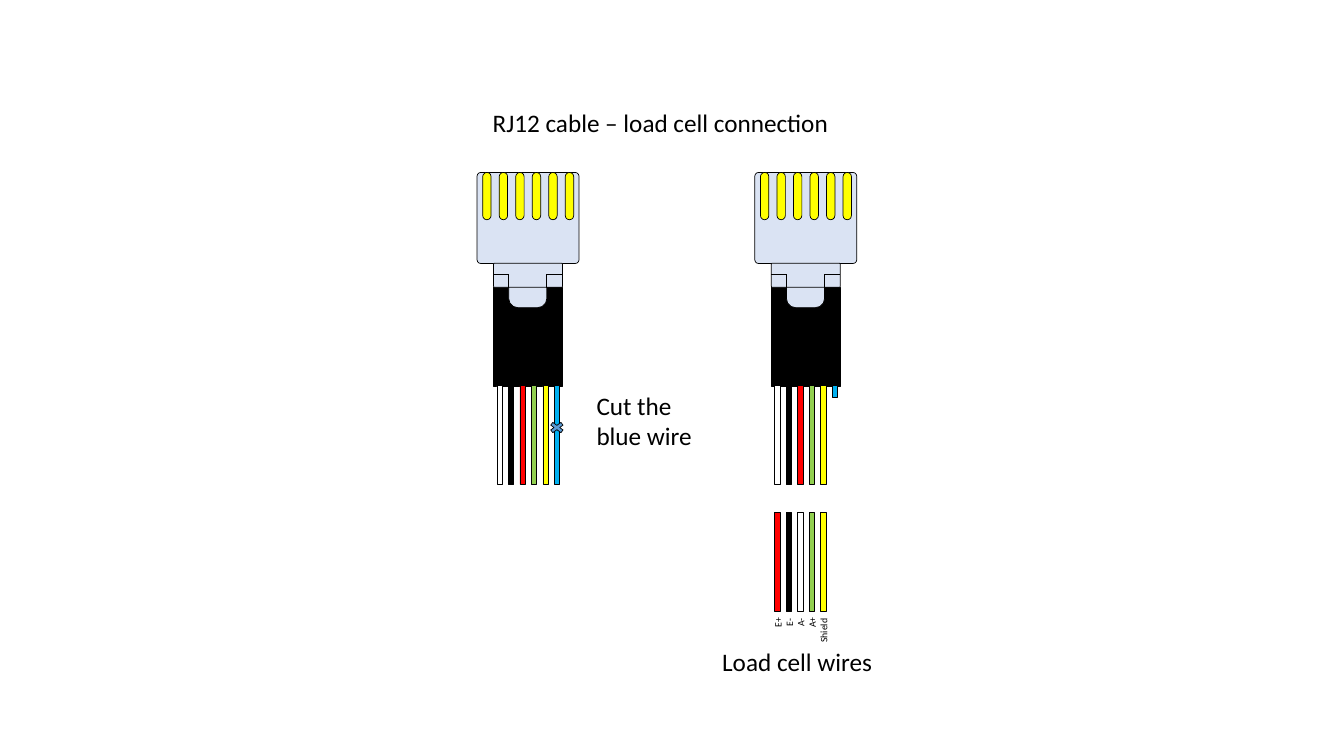
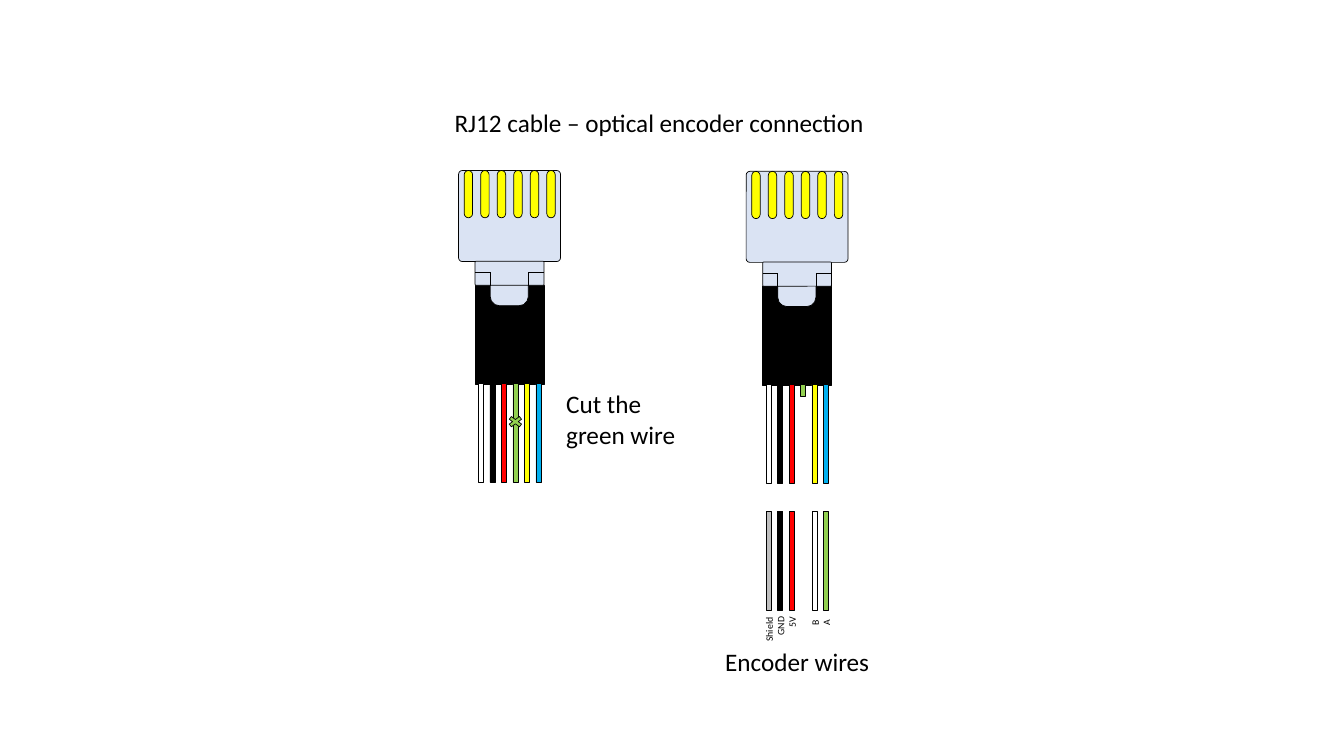
"""Draw the RJ12 wiring diagrams for a load cell and an optical encoder."""
from dataclasses import dataclass

from lxml.etree import SubElement
from pptx import Presentation
from pptx.dml.color import RGBColor
from pptx.enum.shapes import MSO_CONNECTOR, MSO_SHAPE
from pptx.enum.text import MSO_AUTO_SIZE, PP_ALIGN
from pptx.oxml.ns import qn
from pptx.presentation import Presentation as PresentationType
from pptx.shapes.autoshape import Shape
from pptx.slide import Slide
from pptx.util import Emu, Pt

EMU_PER_PX = 2540
SLIDE_WIDTH, SLIDE_HEIGHT = 4800, 2700
FONT = "Calibri"

BLACK, WHITE, RED, GREEN = "000000", "FFFFFF", "FF0000", "92D050"
YELLOW, BLUE, GRAY = "FFFF00", "00B0F0", "BFBFBF"
PLASTIC, STEEL_BLUE = "DAE3F3", "5B9BD5"
CABLE_COLORS = (WHITE, BLACK, RED, GREEN, YELLOW, BLUE)

PIN_COUNT, PIN_PITCH = 6, 59
WIRE_LEFT, WIRE_PITCH, WIRE_WIDTH, WIRE_LENGTH = 71, 41, 19, 353
CABLE_WIRES_TOP, DEVICE_WIRES_TOP, LABELS_TOP = 761, 1214, 1546
STUB_LENGTH = 41
LABEL_HEIGHT = 79
CROSS_WIDTH, CROSS_HEIGHT = 70, 52


@dataclass(frozen=True)
class Box:
    """A rectangle in px."""

    left: int
    top: int
    width: int
    height: int


@dataclass(frozen=True)
class Part:
    """A rounded piece of the plug, placed from the plug's corner."""

    box: Box
    color: str
    rounding: float


@dataclass(frozen=True)
class Point:
    """A position in px."""

    x: int
    y: int


@dataclass(frozen=True)
class DeviceWire:
    """A labelled wire of the device, facing one slot of the cable."""

    slot: int
    color: str
    label: str
    label_length: int


@dataclass(frozen=True)
class Diagram:
    """The contents of one slide."""

    title: str
    title_box: Box
    note: str
    note_box: Box
    caption: str
    whole_plug: Point
    cut_plug: Point
    cut_slot: int
    cross_top: int
    cross_color: str
    device_wires: tuple[DeviceWire, ...]


CAPTION_BOX = Box(2496, 2292, 702, 144)

PLUG_PARTS = (
    Part(Box(59, 410, 246, 353), BLACK, 0),
    Part(Box(113, 292, 136, 191), PLASTIC, 0.24),
    Part(Box(0, 0, 364, 325), PLASTIC, 0.04),
    *(Part(Box(20 + PIN_PITCH * pin, 0, 30, 169), YELLOW, 0.5) for pin in range(PIN_COUNT)),
    Part(Box(59, 324, 246, 86), PLASTIC, 0.04),
)

SHOULDER_LINES = (
    (Point(59, 364), Point(113, 364)),
    (Point(249, 364), Point(305, 364)),
    (Point(249, 364), Point(249, 413)),
    (Point(113, 364), Point(113, 413)),
)

DIAGRAMS = (
    Diagram(
        title="RJ12 cable – load cell connection",
        title_box=Box(1599, 367, 1519, 144),
        note="Cut the blue wire",
        note_box=Box(2095, 1375, 454, 256),
        caption="Load cell wires",
        whole_plug=Point(1704, 616),
        cut_plug=Point(2696, 616),
        cut_slot=5,
        cross_top=1501,
        cross_color=STEEL_BLUE,
        device_wires=(
            DeviceWire(0, RED, "E+", 122),
            DeviceWire(1, BLACK, "E-", 122),
            DeviceWire(2, WHITE, "A-", 122),
            DeviceWire(3, GREEN, "A+", 122),
            DeviceWire(4, YELLOW, "Shield", 180),
        ),
    ),
    Diagram(
        title="RJ12 cable – optical encoder connection",
        title_box=Box(1447, 365, 1814, 144),
        note="Cut the green wire",
        note_box=Box(1987, 1371, 515, 256),
        caption="Encoder wires",
        whole_plug=Point(1638, 609),
        cut_plug=Point(2665, 612),
        cut_slot=3,
        cross_top=1480,
        cross_color=GREEN,
        device_wires=(
            DeviceWire(0, GRAY, "Shield", 180),
            DeviceWire(1, BLACK, "GND", 155),
            DeviceWire(2, RED, "5V", 126),
            DeviceWire(4, WHITE, "B", 130),
            DeviceWire(5, GREEN, "A", 130),
        ),
    ),
)


def px(length: int) -> Emu:
    """Turn px into EMU."""
    return Emu(length * EMU_PER_PX)


def rgb(color: str) -> RGBColor:
    """Turn a hex string into a colour."""
    return RGBColor.from_string(color)


def add_outlined(slide: Slide, kind: MSO_SHAPE, box: Box, color: str) -> Shape:
    """Add a filled shape with a thin black outline."""
    shape = slide.shapes.add_shape(kind, px(box.left), px(box.top), px(box.width), px(box.height))
    shape.shadow.inherit = False
    shape.fill.solid()
    shape.fill.fore_color.rgb = rgb(color)
    shape.line.color.rgb = rgb(BLACK)
    shape.line.width = Pt(0.5)
    return shape


def add_rounded(slide: Slide, box: Box, color: str, rounding: float = 0) -> None:
    """Add an outlined rectangle with the given corner rounding."""
    shape = add_outlined(slide, MSO_SHAPE.ROUNDED_RECTANGLE, box, color)
    shape.adjustments[0] = rounding


def add_line(slide: Slide, start: Point, end: Point) -> None:
    """Add a thin black line."""
    connector = slide.shapes.add_connector(
        MSO_CONNECTOR.STRAIGHT, px(start.x), px(start.y), px(end.x), px(end.y)
    )
    connector.line.color.rgb = rgb(BLACK)
    connector.line.width = Pt(0.5)
    SubElement(connector.element.spPr, qn("a:effectLst"))


def add_text(
    slide: Slide,
    text: str,
    box: Box,
    *,
    size: int = 18,
    align: PP_ALIGN = PP_ALIGN.CENTER,
    rotation: int = 0,
    wrap: bool = True,
) -> None:
    """Add a text box with one formatted paragraph."""
    shape = slide.shapes.add_textbox(px(box.left), px(box.top), px(box.width), px(box.height))
    shape.rotation = rotation
    frame = shape.text_frame
    frame.word_wrap = wrap
    frame.auto_size = MSO_AUTO_SIZE.SHAPE_TO_FIT_TEXT
    paragraph = frame.paragraphs[0]
    paragraph.alignment = align
    run = paragraph.add_run()
    run.text = text
    run.font.name = FONT
    run.font.size = Pt(size)
    run.font.color.rgb = rgb(BLACK)


def add_wire(
    slide: Slide, plug: Point, slot: int, top: int, color: str, length: int = WIRE_LENGTH
) -> None:
    """Add one wire in a slot below the plug."""
    left = plug.x + WIRE_LEFT + WIRE_PITCH * slot
    add_rounded(slide, Box(left, plug.y + top, WIRE_WIDTH, length), color)


def wire_center(plug: Point, slot: int) -> int:
    """Give the horizontal centre of a slot."""
    return plug.x + WIRE_LEFT + WIRE_PITCH * slot + WIRE_WIDTH // 2


def add_cable(slide: Slide, plug: Point, cut_slot: int | None = None) -> None:
    """Add a plug and its six wires, one of them cut short if asked."""
    for part in PLUG_PARTS:
        box = part.box
        placed = Box(plug.x + box.left, plug.y + box.top, box.width, box.height)
        add_rounded(slide, placed, part.color, part.rounding)
    for start, end in SHOULDER_LINES:
        add_line(
            slide,
            Point(plug.x + start.x, plug.y + start.y),
            Point(plug.x + end.x, plug.y + end.y),
        )
    for slot, color in enumerate(CABLE_COLORS):
        length = STUB_LENGTH if slot == cut_slot else WIRE_LENGTH
        add_wire(slide, plug, slot, CABLE_WIRES_TOP, color, length)


def add_device_wire(slide: Slide, plug: Point, wire: DeviceWire) -> None:
    """Add a device wire and its upright label."""
    add_wire(slide, plug, wire.slot, DEVICE_WIRES_TOP, wire.color)
    length = wire.label_length
    center_x = wire_center(plug, wire.slot) + 2
    center_y = plug.y + LABELS_TOP + length // 2
    box = Box(center_x - length // 2, center_y - LABEL_HEIGHT // 2, length, LABEL_HEIGHT)
    add_text(slide, wire.label, box, size=7, rotation=270, wrap=False)


def add_diagram(presentation: PresentationType, diagram: Diagram) -> None:
    """Add one slide with its wiring diagram."""
    slide = presentation.slides.add_slide(presentation.slide_layouts[6])
    add_text(slide, diagram.title, diagram.title_box)
    add_cable(slide, diagram.cut_plug, diagram.cut_slot)
    add_cable(slide, diagram.whole_plug)
    add_text(slide, diagram.note, diagram.note_box, align=PP_ALIGN.LEFT)
    cross_left = wire_center(diagram.whole_plug, diagram.cut_slot) - CROSS_WIDTH // 2
    cross_box = Box(cross_left, diagram.cross_top, CROSS_WIDTH, CROSS_HEIGHT)
    add_outlined(slide, MSO_SHAPE.MATH_MULTIPLY, cross_box, diagram.cross_color)
    for wire in diagram.device_wires:
        add_device_wire(slide, diagram.cut_plug, wire)
    add_text(slide, diagram.caption, CAPTION_BOX)


def main() -> None:
    """Build and save the presentation."""
    presentation = Presentation()
    presentation.slide_width = px(SLIDE_WIDTH)
    presentation.slide_height = px(SLIDE_HEIGHT)
    for diagram in DIAGRAMS:
        add_diagram(presentation, diagram)
    presentation.save("out.pptx")


if __name__ == "__main__":
    main()
